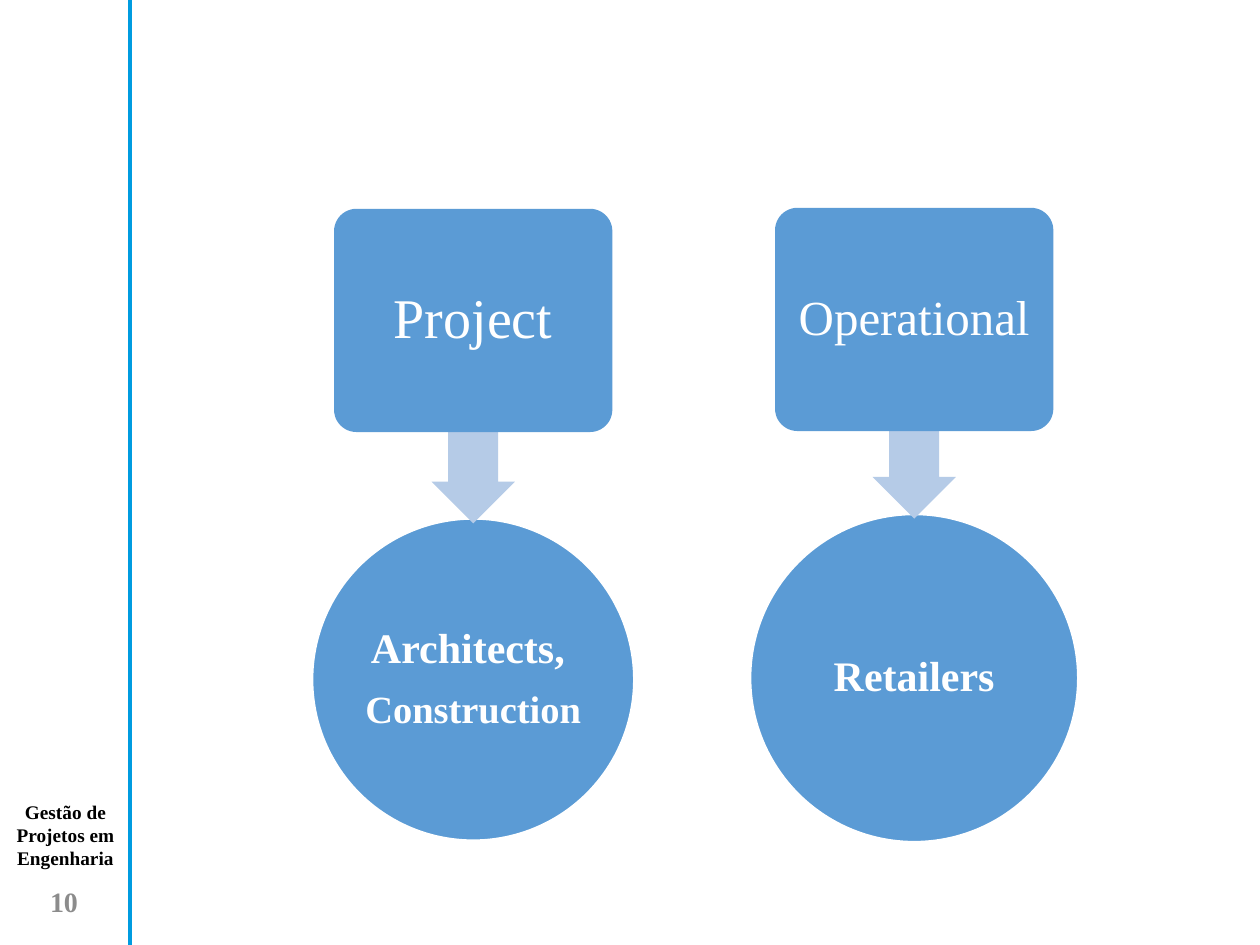
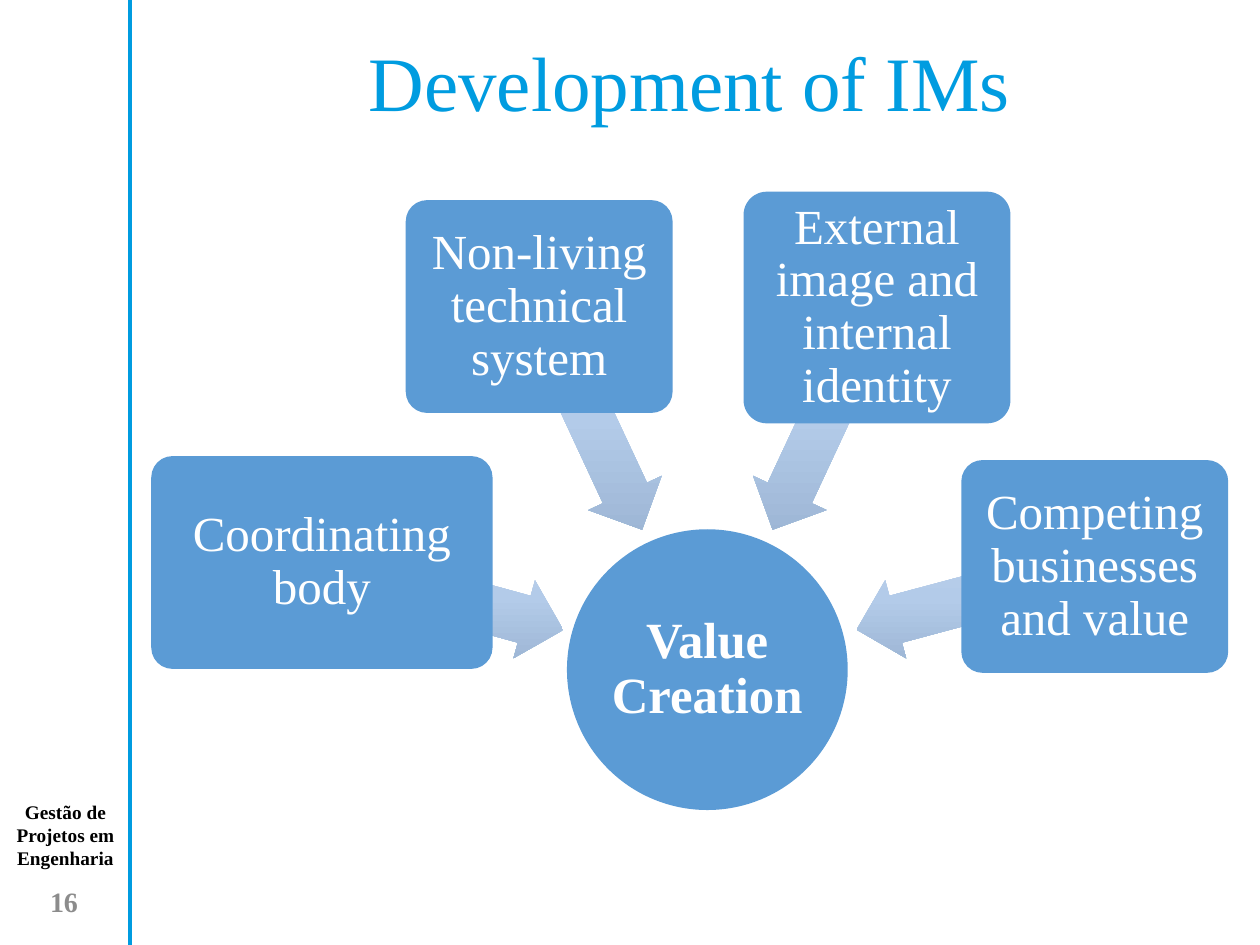
from copy import deepcopy
from dataclasses import dataclass
from math import cos, radians, sin

from pptx import Presentation
from pptx.dml.color import RGBColor
from pptx.enum.shapes import MSO_CONNECTOR, MSO_SHAPE
from pptx.enum.text import MSO_ANCHOR, PP_ALIGN
from pptx.oxml.ns import qn
from pptx.util import Cm, Pt
from lxml import etree

CENTER = PP_ALIGN.CENTER
TOP, MIDDLE = MSO_ANCHOR.TOP, MSO_ANCHOR.MIDDLE
CIRCLE = MSO_SHAPE.OVAL
CARD = MSO_SHAPE.ROUNDED_RECTANGLE
ARROW = MSO_SHAPE.LEFT_ARROW
STRAIGHT = MSO_CONNECTOR.STRAIGHT

WIDTH, HEIGHT = 25.4, 19.05
BLANK_LAYOUT = 6


@dataclass(frozen=True)
class Theme:
    font: str = "Times New Roman"
    accent: str = "009CE0"
    node: str = "5B9BD5"
    arrow: str = "B5CBE7"
    arrow_stops: tuple = ("C0D2EB", "B3CBE9", "9BB4D3")
    white: str = "FFFFFF"
    black: str = "000000"
    grey: str = "8C8C8C"
    title_size: float = 44
    heading_size: float = 32
    hub_size: float = 29
    card_size: float = 28
    circle_size: float = 24
    small_circle_size: float = 22
    number_size: float = 16
    course_size: float = 11


class Deck:
    """Holds the theme and the current page; lengths are in centimetres."""

    def __init__(self, theme):
        self.theme = theme
        self.presentation = Presentation()
        self.presentation.slide_width = Cm(WIDTH)
        self.presentation.slide_height = Cm(HEIGHT)
        self.page = None

    def add_page(self, number):
        """Start a page with the side rule, course name and page number."""
        theme = self.theme
        layout = self.presentation.slide_layouts[BLANK_LAYOUT]
        self.page = self.presentation.slides.add_slide(layout)
        rule = self.page.shapes.add_connector(
            STRAIGHT, Cm(2.62), Cm(0), Cm(2.62), Cm(HEIGHT))
        rule.line.color.rgb = RGBColor.from_string(theme.accent)
        rule.line.width = Pt(2.75)
        etree.SubElement(rule._element.spPr, qn("a:effectLst"))
        self.text_box((0, 16, 2.64, 1.68), "Gestão de Projetos em Engenharia",
                      theme.course_size, theme.black, bold=True, anchor=TOP)
        self.text_box((-0.03, 17.65, 2.64, 1.02), str(number),
                      theme.number_size, theme.grey, bold=True)

    def title(self, text):
        self.text_box((4.14, 0.56, 19.53, 2.36), text,
                      self.theme.title_size, self.theme.accent, spacing=0.9)

    def text_box(self, place, text, size, color, bold=False, anchor=MIDDLE,
                 spacing=1.0):
        box = self.page.shapes.add_textbox(*map(Cm, place))
        self.set_text(box, [(text, size)], color, bold, anchor, spacing)

    def set_text(self, box, lines, color, bold, anchor, spacing):
        """Fill a box with centred paragraphs given as (text, size) pairs."""
        frame = box.text_frame
        frame.word_wrap = True
        frame.vertical_anchor = anchor
        frame.text = "\n".join(text for text, _ in lines)
        for index, (para, (_, size)) in enumerate(zip(frame.paragraphs, lines)):
            para.alignment = CENTER
            para.line_spacing = spacing
            if index < len(lines) - 1:
                para.space_after = Pt(0.4 * size)
            for span in para.runs:
                span.font.name = self.theme.font
                span.font.size = Pt(size)
                span.font.bold = bold
                span.font.color.rgb = RGBColor.from_string(color)

    def shape(self, kind, center, width, height, color):
        """Add a plain filled shape around its centre."""
        x, y = center
        shape = self.page.shapes.add_shape(
            kind, Cm(x - width / 2), Cm(y - height / 2), Cm(width), Cm(height))
        shape.shadow.inherit = False
        shape.fill.solid()
        shape.fill.fore_color.rgb = RGBColor.from_string(color)
        shape.line.fill.background()
        return shape

    def node(self, kind, center, width, height, lines, inset, bold=False):
        shape = self.shape(kind, center, width, height, self.theme.node)
        frame = shape.text_frame
        frame.margin_left = frame.margin_right = Cm(inset)
        frame.margin_top = frame.margin_bottom = Cm(inset)
        self.set_text(shape, lines, self.theme.white, bold, MIDDLE, 0.9)
        return shape

    def card(self, center, width, height, text, size):
        card = self.node(CARD, center, width, height, [(text, size)], 0.15)
        card.adjustments[0] = 0.1

    def circle(self, center, diameter, lines, outlined=False):
        circle = self.node(CIRCLE, center, diameter, diameter, lines, 0.03, True)
        if outlined:
            circle.line.color.rgb = RGBColor.from_string(self.theme.white)
            circle.line.width = Pt(1)

    def arrow(self, center, length, thickness, rotation, shaded=False):
        arrow = self.shape(ARROW, center, length, thickness, self.theme.arrow)
        arrow.adjustments[0] = 0.6
        arrow.adjustments[1] = 0.5
        arrow.rotation = rotation
        if shaded:
            self.shade(arrow)

    def shade(self, shape):
        """Apply the three-stop gradient, upright whatever the rotation."""
        shape.fill.gradient()
        shape.fill.gradient_angle = 270
        gradient = shape._element.spPr.find(qn("a:gradFill"))
        gradient.set("rotWithShape", "0")
        stop_list = gradient.find(qn("a:gsLst"))
        stop_list.insert(1, deepcopy(stop_list[0]))
        stops = shape.fill.gradient_stops
        for stop, position, color in zip(stops, (0, 0.5, 1), self.theme.arrow_stops):
            stop.position = position
            stop.color.rgb = RGBColor.from_string(color)


def add_sectors_page(deck):
    theme = deck.theme
    deck.add_page(10)
    columns = [
        # x, card (y, text, size), arrow (y, length), circle (y, diameter, lines)
        (9.54, (6.46, "Project", theme.heading_size), (8.66, 3.78),
         (13.7, 6.48, [("Architects, ", theme.circle_size),
                       ("Construction", theme.small_circle_size)])),
        (18.43, (6.44, "Operational", theme.card_size), (8.59, 3.73),
         (13.67, 6.6, [("Retailers", theme.circle_size)])),
    ]
    for x, card, arrow, circle in columns:
        card_y, text, size = card
        arrow_y, length = arrow
        circle_y, diameter, lines = circle
        deck.circle((x, circle_y), diameter, lines, outlined=True)
        deck.arrow((x, arrow_y), length, 1.68, 270)
        deck.card((x, card_y), 5.61, 4.5, text, size)


def add_value_page(deck):
    theme = deck.theme
    deck.add_page(16)
    deck.title("Development of IMs")
    hub_x, hub_y = 14.26, 13.5
    deck.circle((hub_x, hub_y), 5.66, [("Value Creation", theme.hub_size)])
    sources = [
        # arrow angle, arrow distance from hub, card centre, width, height, text
        (195.4, 5.49, (6.49, 11.34), 6.88, 4.29, "Coordinating body"),
        (245, 5.59, (10.87, 6.18), 5.38, 4.29, "Non-living technical system"),
        (295, 5.59, (17.68, 6.2), 5.38, 4.67,
         "External image and internal identity"),
        (345, 5.59, (22.07, 11.42), 5.38, 4.29,
         "Competing businesses and value"),
    ]
    for angle, distance, center, width, height, text in sources:
        turn = radians(angle)
        middle = (hub_x + distance * cos(turn), hub_y + distance * sin(turn))
        deck.arrow(middle, 4.95, 1.63, angle, shaded=True)
        deck.card(center, width, height, text, theme.card_size)


def main():
    deck = Deck(Theme())
    add_sectors_page(deck)
    add_value_page(deck)
    deck.presentation.save("out.pptx")


if __name__ == "__main__":
    main()
